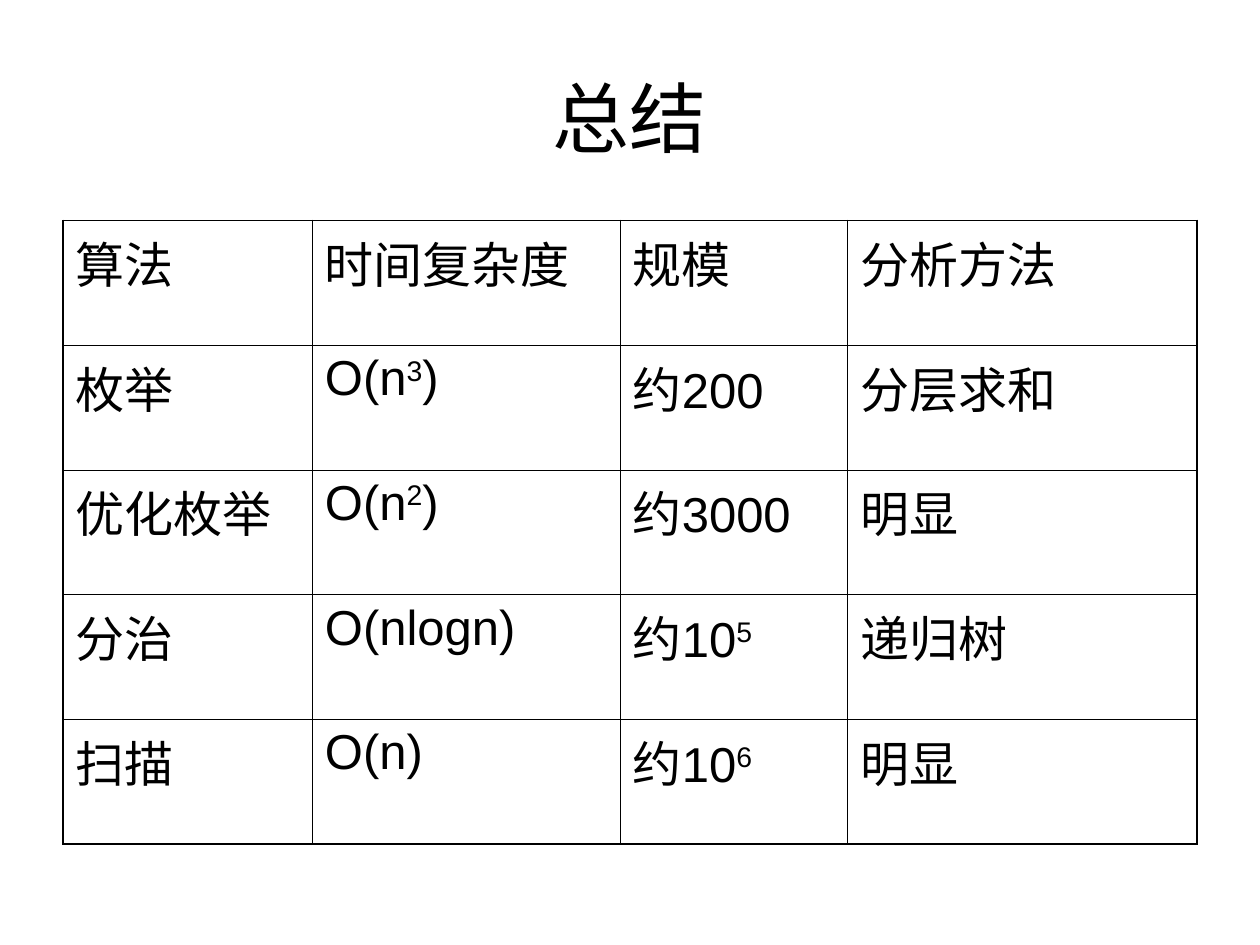
from lxml import etree
from pptx import Presentation
from pptx.dml.color import RGBColor
from pptx.enum.text import MSO_ANCHOR, MSO_AUTO_SIZE, PP_ALIGN
from pptx.oxml.ns import qn
from pptx.util import Pt

MIDDLE = MSO_ANCHOR.MIDDLE
NO_FIT = MSO_AUTO_SIZE.NONE
CENTER = PP_ALIGN.CENTER

# Content: ^ marks the one character after it as superscript
TITLE = "总结"
ROWS = [
    ("算法", "时间复杂度", "规模", "分析方法"),
    ("枚举", "O(n^3)", "约200", "分层求和"),
    ("优化枚举", "O(n^2)", "约3000", "明显"),
    ("分治", "O(nlogn)", "约10^5", "递归树"),
    ("扫描", "O(n)", "约10^6", "明显"),
]

# Format, in points
COLORS = {"text": "000000", "border": "000000", "background": "FFFFFF"}
FONT = "Arial"
TITLE_SIZE, CELL_SIZE = 44, 28
TITLE_BOX = {"left": 36, "top": 21.6, "width": 648, "height": 90}
TABLE_LEFT, TABLE_TOP = 36, 126
COLUMN_WIDTHS = [142.5, 176, 130, 199.5]
ROW_HEIGHT = 71.28
OUTER_LINE, INNER_LINE = 1.08, 0.45
SUPERSCRIPT = "30000"


def add_text(paragraph, text, size):
    """Write text as runs, raising each character that follows a ^."""
    first, *raised = text.split("^")
    pieces = [(first, False)]
    for piece in raised:
        pieces += [(piece[0], True), (piece[1:], False)]
    for words, is_raised in pieces:
        if not words:
            continue
        run = paragraph.add_run()
        run.text = words
        for name, value in {"name": FONT, "size": Pt(size), "bold": False}.items():
            setattr(run.font, name, value)
        run.font.color.rgb = RGBColor.from_string(COLORS["text"])
        if is_raised:
            run.font._element.set("baseline", SUPERSCRIPT)


def add_borders(cell, widths):
    """Put the border lines ahead of the cell's fill, in schema order."""
    properties = cell._tc.get_or_add_tcPr()
    for position, (side, width) in enumerate(widths.items()):
        line = etree.Element(qn(f"a:ln{side}"), w=str(int(Pt(width))))
        fill = etree.SubElement(line, qn("a:solidFill"))
        etree.SubElement(fill, qn("a:srgbClr"), val=COLORS["border"])
        properties.insert(position, line)


def main():
    deck = Presentation()
    deck.slide_width, deck.slide_height = Pt(720), Pt(540)
    slide = deck.slides.add_slide(deck.slide_layouts[5])
    slide.background.fill.solid()
    slide.background.fill.fore_color.rgb = RGBColor.from_string(COLORS["background"])

    # Title
    title = slide.shapes.title
    for name, value in TITLE_BOX.items():
        setattr(title, name, Pt(value))
    frame_format = {"auto_size": NO_FIT, "vertical_anchor": MIDDLE, "word_wrap": True}
    for name, value in frame_format.items():
        setattr(title.text_frame, name, value)
    heading = title.text_frame.paragraphs[0]
    heading.alignment = CENTER
    add_text(heading, TITLE, TITLE_SIZE)

    # Summary table
    last_row, last_column = len(ROWS) - 1, len(COLUMN_WIDTHS) - 1
    summary = slide.shapes.add_table(
        len(ROWS), len(COLUMN_WIDTHS), Pt(TABLE_LEFT), Pt(TABLE_TOP),
        Pt(sum(COLUMN_WIDTHS)), Pt(ROW_HEIGHT * len(ROWS))).table
    summary.first_row = summary.horz_banding = False
    for column, width in zip(summary.columns, COLUMN_WIDTHS):
        column.width = Pt(width)

    for r, entries in enumerate(ROWS):
        summary.rows[r].height = Pt(ROW_HEIGHT)
        for c, entry in enumerate(entries):
            cell = summary.cell(r, c)
            cell.fill.background()
            add_text(cell.text_frame.paragraphs[0], entry, CELL_SIZE)
            on_edge = {"L": c == 0, "R": c == last_column,
                       "T": r == 0, "B": r == last_row}
            add_borders(cell, {side: OUTER_LINE if edge else INNER_LINE
                               for side, edge in on_edge.items()})

    deck.save("out.pptx")


if __name__ == "__main__":
    main()
